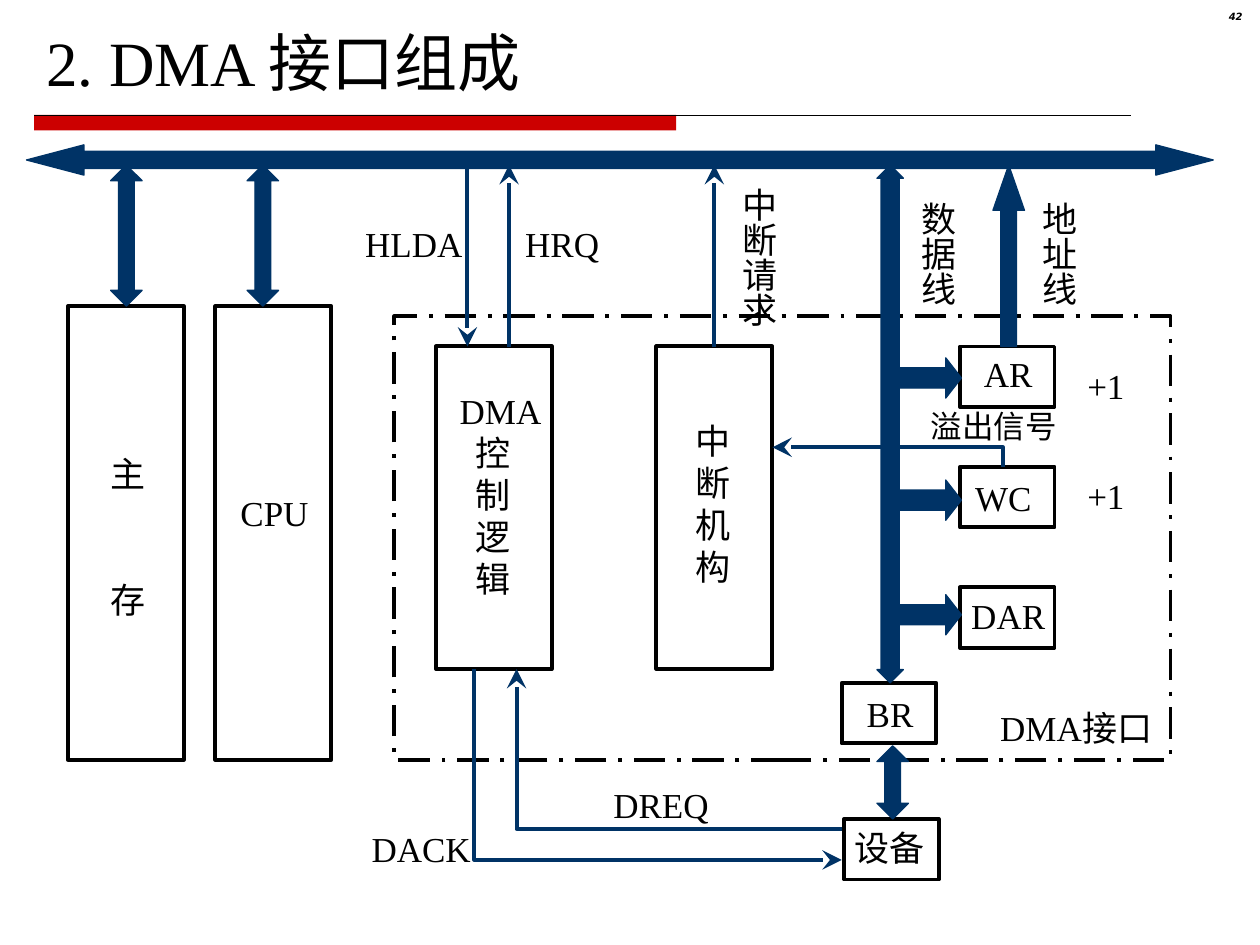
import pptx
import pptx.dml.color
import pptx.enum.dml
import pptx.enum.shapes
import pptx.enum.text
import pptx.oxml
import pptx.oxml.ns
import pptx.util

Pt = pptx.util.Pt
SHAPES = pptx.enum.shapes.MSO_SHAPE
COLORS = {"ink": "000000", "bus": "003366", "accent": "CC0000"}
TOP = 198
BUS_Y = 94.3
SMALL_BOX = (54, 34.6)
TALL_BOX = (66.2, 184.3)


def color(name):
    return pptx.dml.color.RGBColor.from_string(COLORS[name])


def add_child(parent, tag, **attributes):
    child = pptx.oxml.parse_xml(f"<a:{tag} {pptx.oxml.ns.nsdecls('a')}/>")
    for key, value in attributes.items():
        child.set(key, value)
    parent.append(child)


def style_line(item, name, width, arrow=False):
    item.line.color.rgb = color(name)
    item.line.width = Pt(width)
    if arrow:
        add_child(item.line._get_or_add_ln(), "tailEnd", type="stealth", w="lg", len="lg")


def add_text(page, lines, left, top, width, height=31.7, size=20, vertical=False):
    box = page.shapes.add_textbox(Pt(left), Pt(top), Pt(width), Pt(height))
    frame = box.text_frame
    frame.word_wrap = True
    frame.margin_right = 0
    if vertical:
        frame._txBody.bodyPr.set("vert", "eaVert")
        frame.margin_left = frame.margin_right = Pt(3.6)
        frame.margin_bottom = 0
    frame.text = lines
    for paragraph in frame.paragraphs:
        paragraph.font.name = "Times New Roman"
        paragraph.font.size = Pt(size)
        paragraph.font.color.rgb = color("ink")
    return frame


def indent(paragraphs):
    for paragraph in paragraphs:
        paragraph._p.get_or_add_pPr().set("marL", str(Pt(9)))


def add_box(page, left, top, width, height):
    box = page.shapes.add_shape(SHAPES.RECTANGLE, Pt(left), Pt(top), Pt(width), Pt(height))
    box.shadow.inherit = False
    box.fill.background()
    style_line(box, "ink", 2.25)
    return box


def add_block_arrow(page, kind, left, top, width, height, *adjustments):
    arrow = page.shapes.add_shape(kind, Pt(left), Pt(top), Pt(width), Pt(height))
    arrow.shadow.inherit = False
    for index, value in enumerate(adjustments):
        arrow.adjustments[index] = value
    arrow.fill.solid()
    arrow.fill.fore_color.rgb = color("bus")
    style_line(arrow, "bus", 0.75)


def add_line(page, start, end, name="bus", width=2.25, arrow=True):
    line = page.shapes.add_connector(
        pptx.enum.shapes.MSO_CONNECTOR.STRAIGHT, *map(Pt, start + end))
    style_line(line, name, width, arrow)
    add_child(line._element.spPr, "effectLst")
    return line


def add_route(page, *points):
    corners = [(Pt(x), Pt(y)) for x, y in points]
    builder = page.shapes.build_freeform(*corners[0])
    builder.add_line_segments(corners[1:], close=False)
    route = builder.convert_to_shape()
    route.shadow.inherit = False
    route.fill.background()
    style_line(route, "bus", 2.25, arrow=True)


def add_heading(page):
    bar = page.shapes.add_shape(SHAPES.RECTANGLE, Pt(19.6), Pt(65.7), Pt(366.8), Pt(8.8))
    bar.shadow.inherit = False
    bar.fill.solid()
    bar.fill.fore_color.rgb = color("accent")
    bar.line.fill.background()
    add_line(page, (19.6, 66), (646.3, 66), "ink", 0.5, arrow=False)
    add_text(page, "2. DMA 接口组成", 19.4, 9.9, 325.4, 50.4, size=36)
    corner = add_text(page, "42", 674.6, 3.6, 42.5, 16.6, size=5.7)
    corner.margin_right = Pt(7.2)
    number = corner.paragraphs[0]
    number.alignment = pptx.enum.text.PP_ALIGN.RIGHT
    number.line_spacing = 0.8
    number.font.name = "DejaVu Sans"
    number.font.bold = number.font.italic = True


def add_blocks(page):
    frame = add_box(page, 225.4, 180.7, 443.5, 253.4)
    frame.line.dash_style = pptx.enum.dml.MSO_LINE.LONG_DASH_DOT
    for left in (38.9, 123.1):
        add_box(page, left, 175, 66.2, 259.2)
    memory = add_text(page, "主\n存", 56.2, 254.9, 34.6, 103.7)
    memory.paragraphs[1].space_before = Pt(48)
    add_text(page, "CPU", 130.3, 277.2, 53.3)
    add_box(page, 249.1, TOP, *TALL_BOX)
    control = add_text(page, "DMA\n控\n制\n逻\n辑", 255.6, 218.9, 61.2, 127.2)
    indent(control.paragraphs[1:])
    interrupt = add_box(page, 375.1, TOP, *TALL_BOX)
    indent(add_text(page, "中\n断\n机\n构", 381.6, 236.2, 43.2, 103.7).paragraphs)
    for left, top in ((482.4, 468), (481, 390.2)):
        add_box(page, left, top, *SMALL_BOX)
    for row in range(3):
        add_box(page, 548.6, TOP + 68.8 * row, *SMALL_BOX)
    return interrupt


def add_buses(page):
    add_block_arrow(page, SHAPES.LEFT_RIGHT_ARROW, 15.1, 82.8, 678.2, 17.3, 0.568, 1.9)
    for left in (63.2, 141.2):
        add_block_arrow(page, SHAPES.UP_DOWN_ARROW, left, BUS_Y, 18, 80.6, 0.892, 0.5)
    add_block_arrow(page, SHAPES.UP_DOWN_ARROW, 501.1, 426.2, 18, 41.8, 0.465, 0.5)
    add_block_arrow(page, SHAPES.UP_DOWN_ARROW, 501.1, BUS_Y, 15.1, 295.9, 1.489, 0.688)
    for top in (204.5, 274.3, 339.8):
        add_block_arrow(page, SHAPES.RIGHT_ARROW, 513.4, top, 36, 23, 0.5, 0.389)
    add_block_arrow(page, SHAPES.UP_ARROW, 567.4, BUS_Y, 18, 103.7, 0.5, 1.439)


def add_signals(page, interrupt):
    add_line(page, (267.1, BUS_Y), (267.1, TOP))
    add_line(page, (290.9, TOP), (290.9, BUS_Y))
    request = add_line(page, (408.2, TOP), (408.2, BUS_Y))
    request.begin_connect(interrupt, 0)
    add_route(page, (573.1, 266.8), (573.1, 255.6), (441.4, 255.6))
    add_route(page, (481, 473.8), (295.2, 473.8), (295.2, 382.3))
    add_route(page, (271.1, 382.3), (271.1, 491.4), (481, 491.4))


def add_labels(page):
    for words, left, top, width in (
        ("DMA接口", 564.5, 400.3, 105.8),
        ("设备", 481, 468.7, 54),
        ("HLDA", 201.6, 123.8, 69.8),
        ("HRQ", 293, 123.8, 56.9),
        ("AR", 555.1, 198, 41.8),
        ("WC", 550.1, 268.6, 46.8),
        ("DAR", 547.9, 336.2, 56.9),
        ("BR", 488.2, 392.4, 41),
        ("+1", 614.2, 204.5, 35.3),
        ("+1", 614.2, 267.8, 35.3),
        ("DREQ", 343.4, 444.2, 69.1),
        ("DACK", 205.2, 469.4, 71.3),
    ):
        add_text(page, words, left, top, width)
    add_text(page, "溢出信号", 524.9, 229, 86.4, 28.8, size=18)
    for words, left, top, height in (
        ("中断请求", 411.1, 100.1, 87.8),
        ("数据线", 513.4, 108, 67.7),
        ("地址线", 582.5, 108, 67.7),
    ):
        add_text(page, words, left, top, 38.2, height, vertical=True)


def main():
    deck = pptx.Presentation()
    deck.slide_width, deck.slide_height = Pt(720), Pt(540)
    page = deck.slides.add_slide(deck.slide_layouts[6])
    add_heading(page)
    interrupt = add_blocks(page)
    add_buses(page)
    add_signals(page, interrupt)
    add_labels(page)
    deck.save("out.pptx")


if __name__ == "__main__":
    main()
